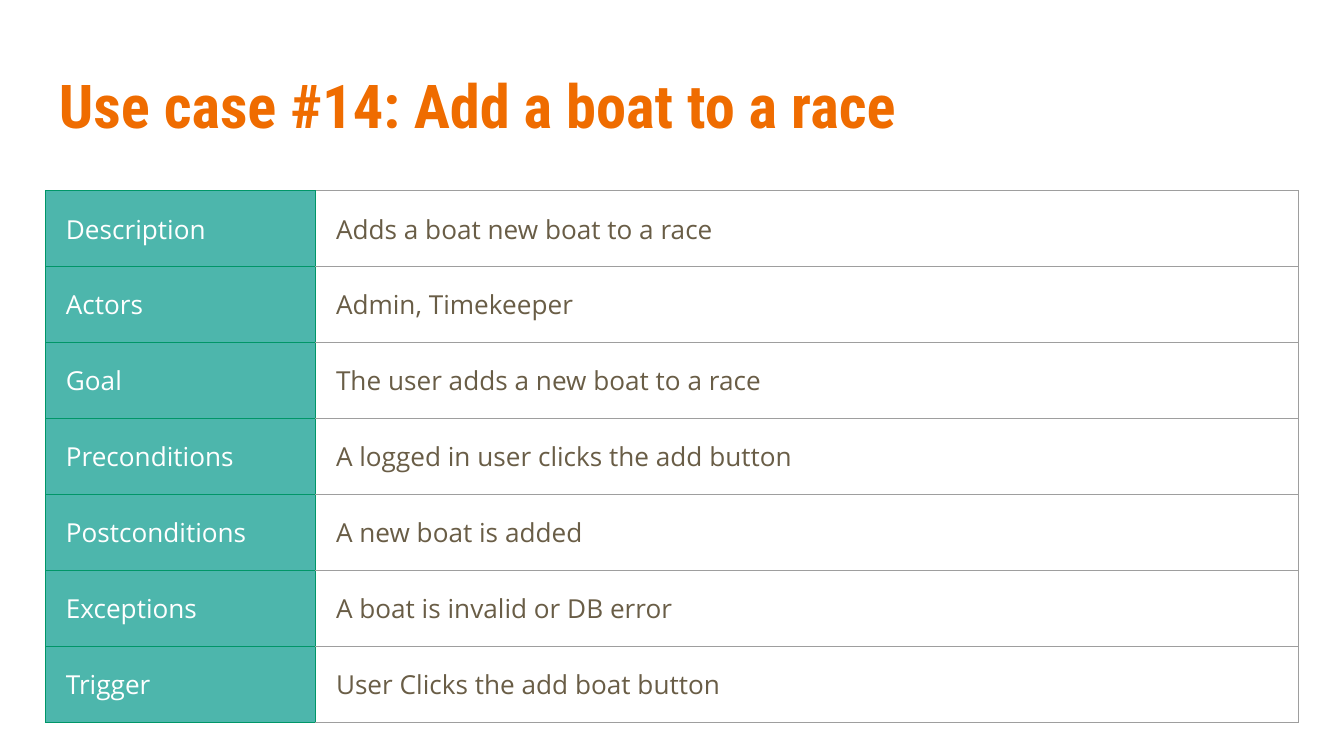
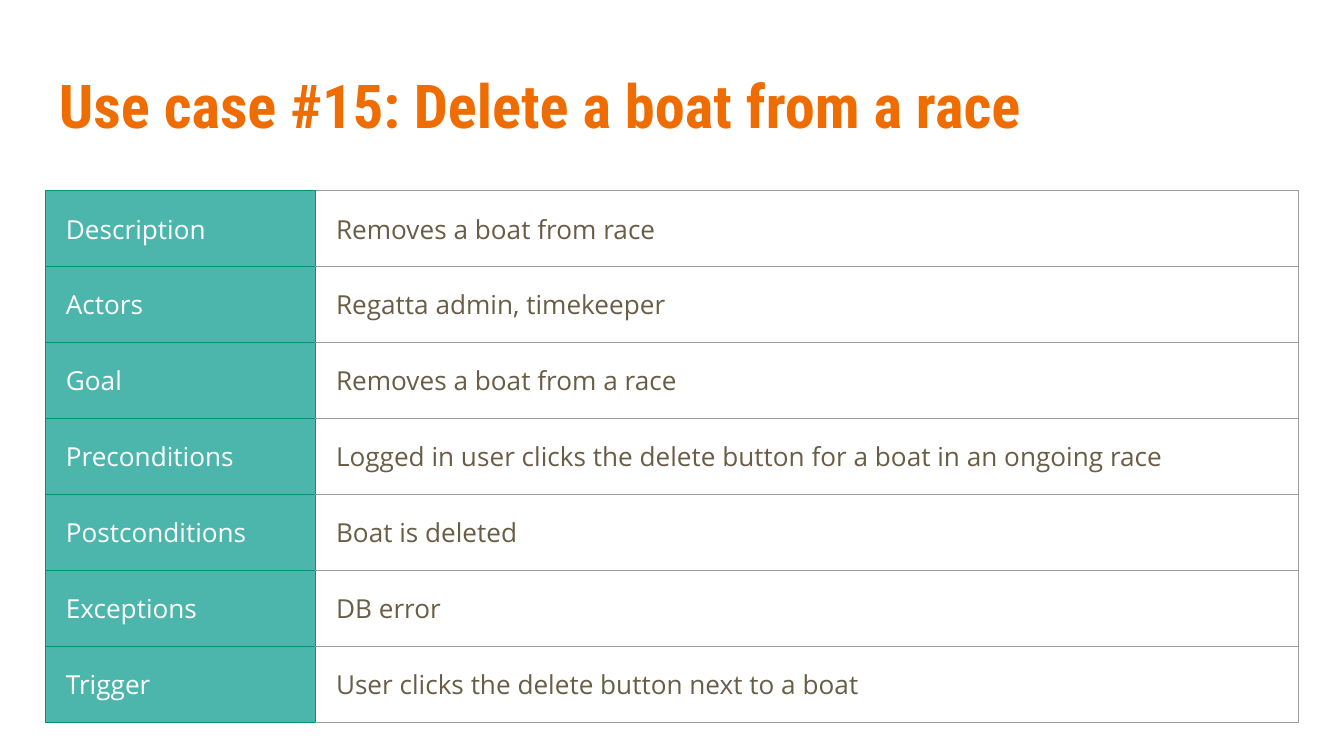
import pptx
import pptx.dml.color
import pptx.enum.text
import pptx.oxml.ns
import pptx.util
from lxml import etree

Inches = pptx.util.Inches
Pt = pptx.util.Pt

ORANGE = "EF6C00"
TEAL = "4DB6AC"
DARK_TEAL = "009668"
GREY = "9E9E9E"
BROWN = "695D46"
WHITE = "FFFFFF"

TITLE_BOX = (0.34, 0.39, 9.32, 0.77)
TABLE_BOX = (0.34, 1.42, 9.32, 3.96)
FIELD_WIDTH = 2.01
FIELDS = ["Description", "Actors", "Goal", "Preconditions",
          "Postconditions", "Exceptions", "Trigger"]

USE_CASES = [
    ("Use case #14: Add a boat to a race", [
        "Adds a boat new boat to a race",
        "Admin, Timekeeper",
        "The user adds a new boat to a race",
        "A logged in user clicks the add button",
        "A new boat is added",
        "A boat is invalid or DB error",
        "User Clicks the add boat button",
    ]),
    ("Use case #15: Delete a boat from a race", [
        "Removes a boat from race",
        "Regatta admin, timekeeper",
        "Removes a boat from a race",
        "Logged in user clicks the delete button for a boat in an ongoing race",
        "Boat is deleted",
        "DB error",
        "User clicks the delete button next to a boat",
    ]),
]


def rgb(hex_colour):
    return pptx.dml.color.RGBColor.from_string(hex_colour)


def set_font(paragraph, name, size, colour, bold=False):
    paragraph.font.name = name
    paragraph.font.size = Pt(size)
    paragraph.font.bold = bold
    paragraph.font.color.rgb = rgb(colour)


def set_margins(target, inset):
    target.margin_left = target.margin_right = Inches(inset)
    target.margin_top = target.margin_bottom = Inches(inset)


def set_borders(cell, left, others):
    """Draw the four cell edges; they must precede the fill in the XML."""
    properties = cell._tc.get_or_add_tcPr()
    edges = [("a:lnL", left), ("a:lnR", others), ("a:lnT", others), ("a:lnB", others)]
    for position, (tag, colour) in enumerate(edges):
        edge = etree.Element(pptx.oxml.ns.qn(tag), w=str(Pt(0.75)))
        fill = etree.SubElement(edge, pptx.oxml.ns.qn("a:solidFill"))
        etree.SubElement(fill, pptx.oxml.ns.qn("a:srgbClr"), val=colour)
        properties.insert(position, edge)


def add_title(slide, box, text):
    frame = slide.shapes.add_textbox(*map(Inches, box)).text_frame
    frame.word_wrap = True
    frame.vertical_anchor = pptx.enum.text.MSO_ANCHOR.MIDDLE
    set_margins(frame, 0.1)
    frame.text = text
    set_font(frame.paragraphs[0], "Roboto Condensed", 32.4, ORANGE, bold=True)


def fill_cell(cell, text, colour):
    set_margins(cell, 0.15)
    cell.text = text
    set_font(cell.text_frame.paragraphs[0], "Open Sans", 14, colour)


def add_use_case_table(slide, box, answers):
    table = slide.shapes.add_table(len(FIELDS), 2, *map(Inches, box)).table
    table.first_row = table.horz_banding = False
    table.columns[0].width = Inches(FIELD_WIDTH)
    table.columns[1].width = Inches(box[2] - FIELD_WIDTH)
    for row, (field, answer) in enumerate(zip(FIELDS, answers)):
        # Field name on teal
        field_cell = table.cell(row, 0)
        fill_cell(field_cell, field, WHITE)
        field_cell.fill.solid()
        field_cell.fill.fore_color.rgb = rgb(TEAL)
        set_borders(field_cell, DARK_TEAL, DARK_TEAL)
        # Answer without fill
        answer_cell = table.cell(row, 1)
        fill_cell(answer_cell, answer, BROWN)
        answer_cell.fill.background()
        set_borders(answer_cell, DARK_TEAL, GREY)


def add_use_case_slide(presentation, title, answers):
    slide = presentation.slides.add_slide(presentation.slide_layouts[6])
    add_title(slide, TITLE_BOX, title)
    add_use_case_table(slide, TABLE_BOX, answers)


def main():
    presentation = pptx.Presentation()
    presentation.slide_width = Inches(10)
    presentation.slide_height = Inches(10) * 9 // 16
    for title, answers in USE_CASES:
        add_use_case_slide(presentation, title, answers)
    presentation.save("out.pptx")


if __name__ == "__main__":
    main()
